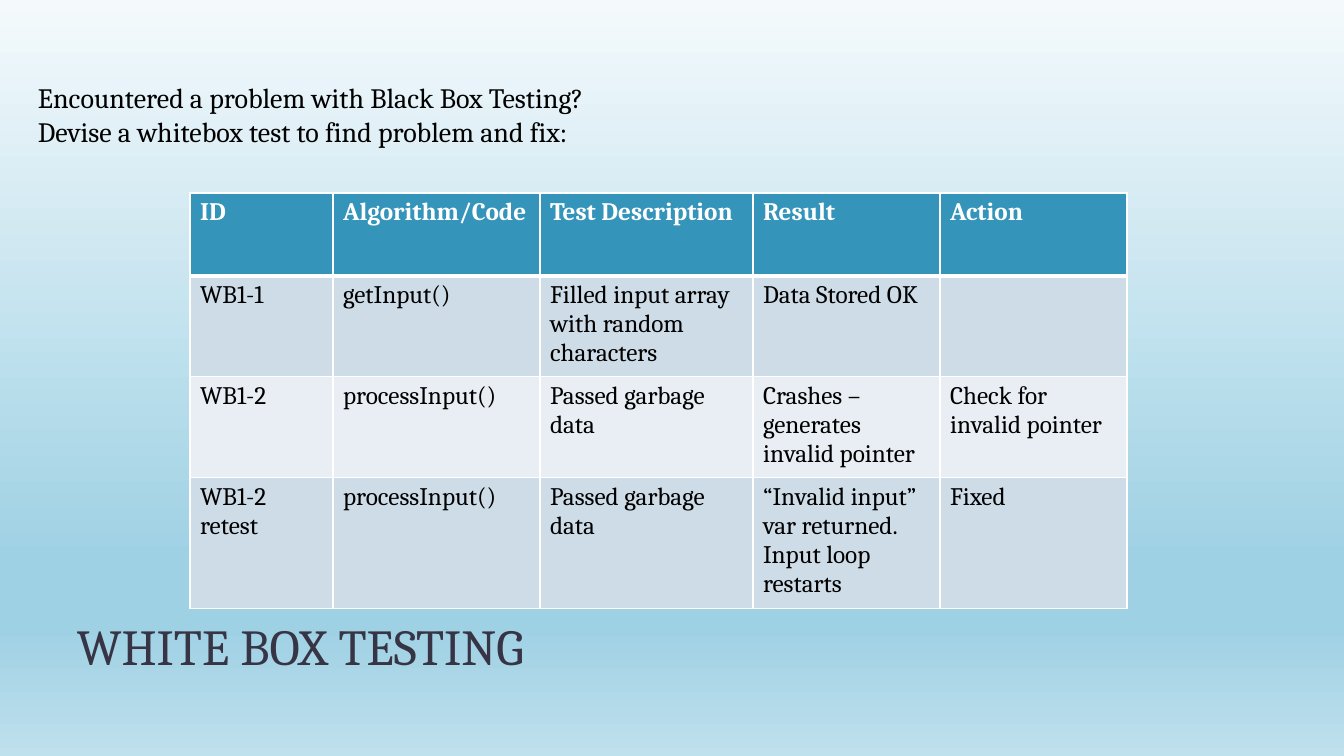
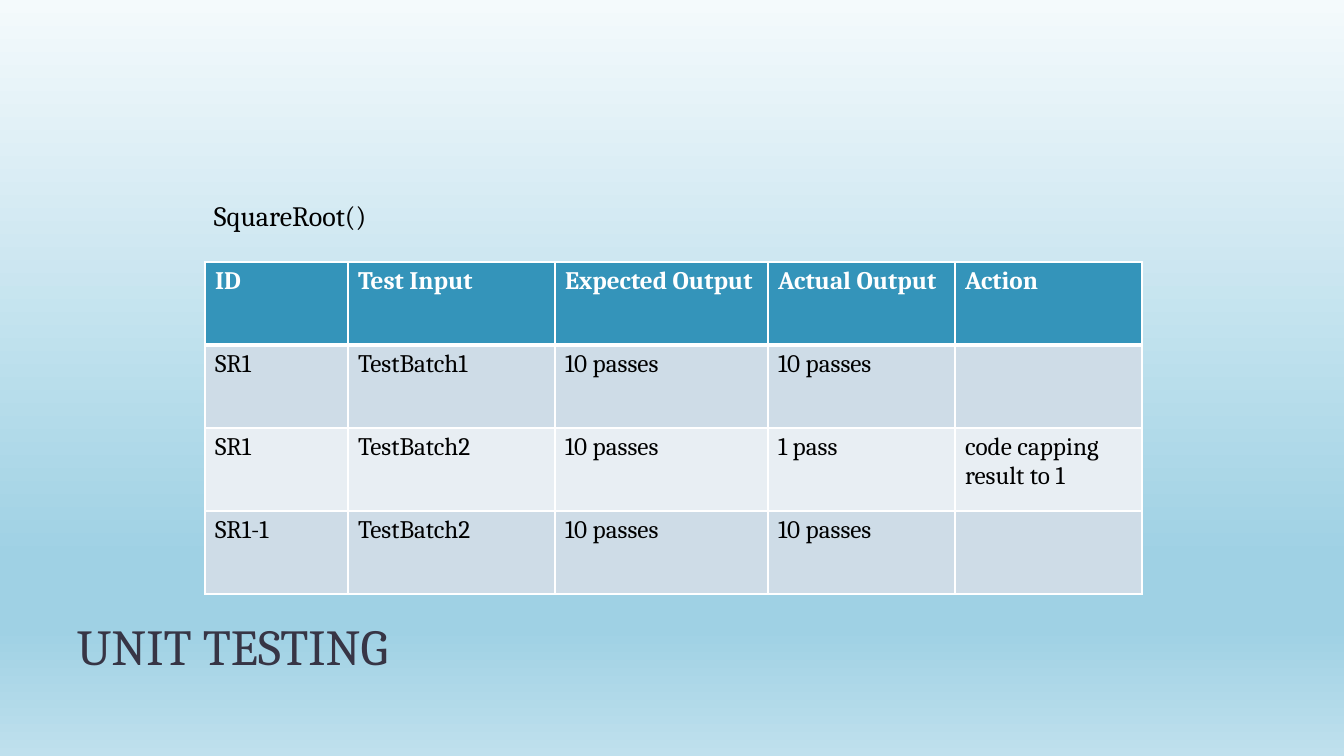
from lxml.etree import SubElement
from pptx import Presentation
from pptx.dml.color import RGBColor
from pptx.enum.text import MSO_ANCHOR
from pptx.oxml import parse_xml
from pptx.oxml.ns import nsdecls, qn
from pptx.util import Pt

SCALE = 914400 / 100.8  # EMU per pixel
FONT = "Cambria"
BLACK = RGBColor(0x00, 0x00, 0x00)
WHITE = RGBColor(0xFF, 0xFF, 0xFF)
SLATE = RGBColor(0x37, 0x35, 0x45)
TEAL = RGBColor(0x34, 0x94, 0xBA)
BANDS = (RGBColor(0xCE, 0xDC, 0xE7), RGBColor(0xE8, 0xEE, 0xF3))
SKY = (
    (0, RGBColor(0xF4, 0xFA, 0xFC)),
    (74, RGBColor(0x9F, 0xD1, 0xE4)),
    (83, RGBColor(0x9F, 0xD1, 0xE4)),
    (100, RGBColor(0xBF, 0xE0, 0xED)),
)
TITLE = (67, 562, 1210, 118)
COLS = (143, 207, 213, 187, 187)
ROW = 83


def px(n):
    return round(n * SCALE)


def paint(master):
    """Give all slides one vertical gradient."""
    fill = master.background.fill
    fill.gradient()
    fill.gradient_angle = 270
    stops = master.element.find(".//" + qn("a:gsLst"))
    for stop in list(stops):
        stops.remove(stop)
    for place, color in SKY:
        stop = SubElement(stops, qn("a:gs"), pos=str(place * 1000))
        SubElement(stop, qn("a:srgbClr"), val=str(color))


def write(para, text, size, color, bold=False):
    run = para.add_run()
    run.text = text
    font = run.font
    font.name, font.size, font.bold = FONT, Pt(size), bold
    font.color.rgb = color


def add_text(slide, box, lines, size=20, color=BLACK):
    frame = slide.shapes.add_textbox(*map(px, box)).text_frame
    frame.word_wrap = True
    for i, line in enumerate(lines):
        para = frame.add_paragraph() if i else frame.paragraphs[0]
        write(para, line, size, color)
    return frame


def add_title(slide, text):
    frame = add_text(slide, TITLE, [text], 36, SLATE)
    frame.vertical_anchor = MSO_ANCHOR.BOTTOM
    frame.paragraphs[0].line_spacing = 0.8


def edge(cell, row):
    """Draw white cell borders, thicker below the header."""
    props = cell._tc.get_or_add_tcPr()
    for i, side in enumerate("LRTB"):
        width = Pt(3 if (side, row) in (("B", 0), ("T", 1)) else 1)
        props.insert(i, parse_xml(
            f'<a:ln{side} {nsdecls("a")} w="{width}"><a:solidFill>'
            f'<a:srgbClr val="{WHITE}"/></a:solidFill></a:ln{side}>'))


def add_grid(slide, left, top, rows):
    box = (left, top, sum(COLS), ROW * len(rows))
    table = slide.shapes.add_table(
        len(rows), len(COLS), *map(px, box)).table
    for col, width in zip(table.columns, COLS):
        col.width = px(width)
    for r, texts in enumerate(rows):
        table.rows[r].height = px(ROW)
        head = r == 0
        for c, text in enumerate(texts):
            cell = table.cell(r, c)
            cell.fill.solid()
            cell.fill.fore_color.rgb = TEAL if head else BANDS[(r - 1) % 2]
            edge(cell, r)
            if text:
                write(cell.text_frame.paragraphs[0], text, 18,
                      WHITE if head else BLACK, head)


def add_page(deck, title, note, lines, corner, rows):
    slide = deck.slides.add_slide(deck.slide_layouts[6])
    add_title(slide, title)
    add_text(slide, note, lines)
    add_grid(slide, *corner, rows)


deck = Presentation()
deck.slide_width, deck.slide_height = px(1344), px(756)
paint(deck.slide_master)

# White box slide
add_page(
    deck, "WHITE BOX TESTING", (28, 76, 967, 78),
    ["Encountered a problem with Black Box Testing?",
     "Devise a whitebox test to find problem and fix:"],
    (190, 193), [
        ("ID", "Algorithm/Code", "Test Description", "Result", "Action"),
        ("WB1-1", "getInput()", "Filled input array with random characters",
         "Data Stored OK", ""),
        ("WB1-2", "processInput()", "Passed garbage data",
         "Crashes – generates invalid pointer", "Check for invalid pointer"),
        ("WB1-2 retest", "processInput()", "Passed garbage data",
         "“Invalid input” var returned. Input loop restarts", "Fixed"),
    ])

# Unit test slide
add_page(
    deck, "UNIT TESTING", (204, 194, 397, 44), ["SquareRoot()"],
    (205, 262), [
        ("ID", "Test Input", "Expected Output", "Actual Output", "Action"),
        ("SR1", "TestBatch1", "10 passes", "10 passes", ""),
        ("SR1", "TestBatch2", "10 passes", "1 pass",
         "code capping result to 1"),
        ("SR1-1", "TestBatch2", "10 passes", "10 passes", ""),
    ])

deck.save("out.pptx")
